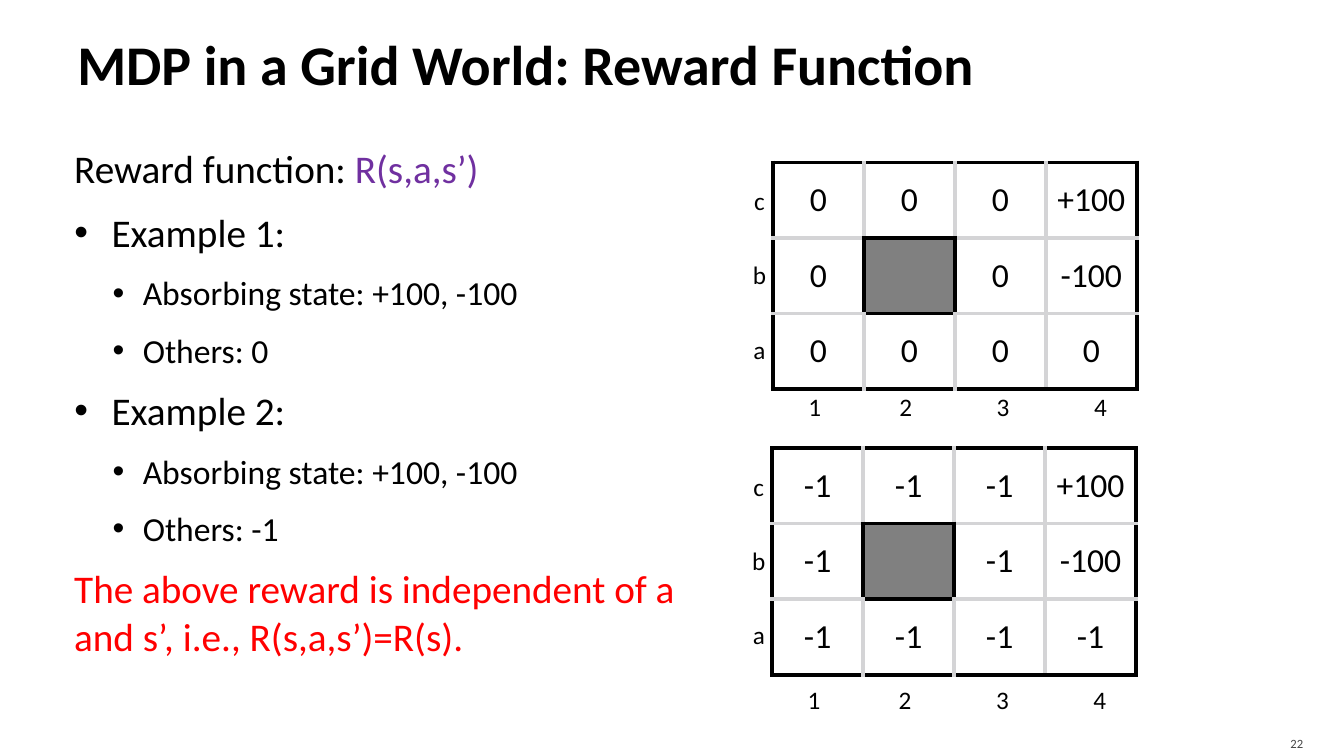
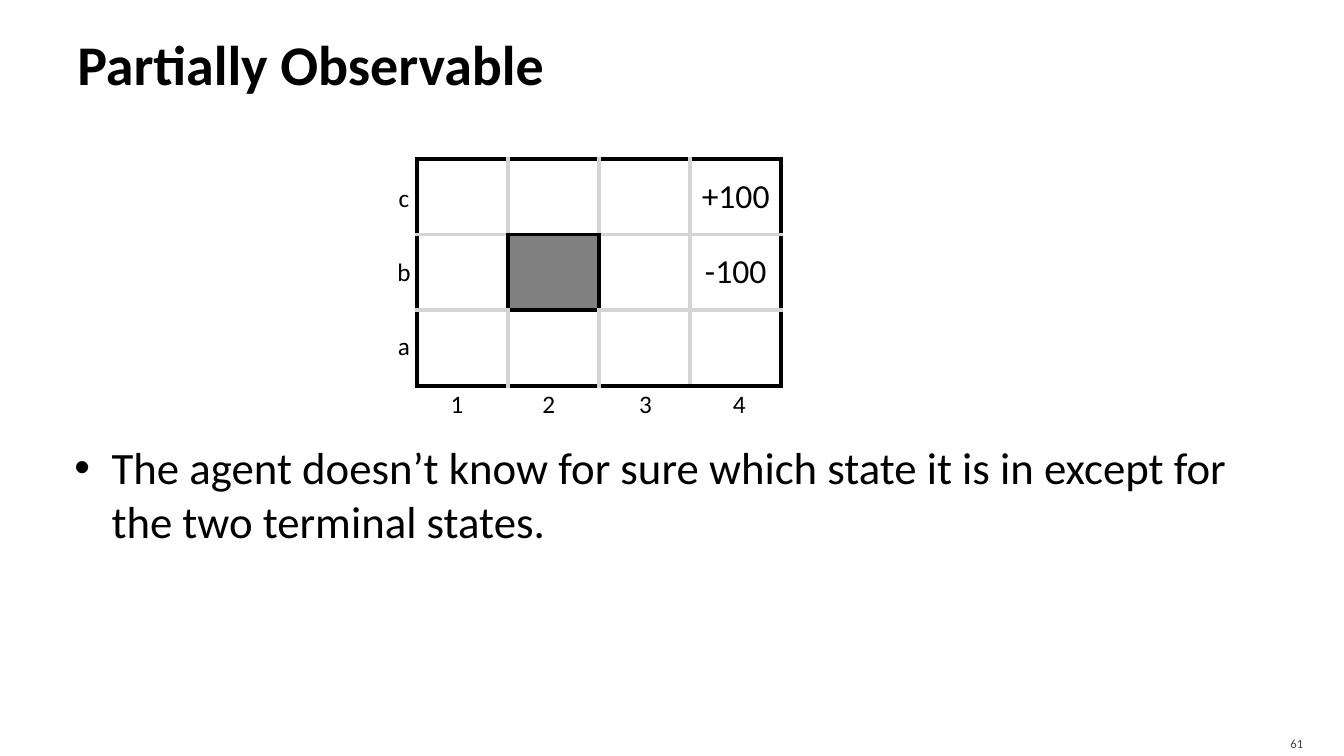
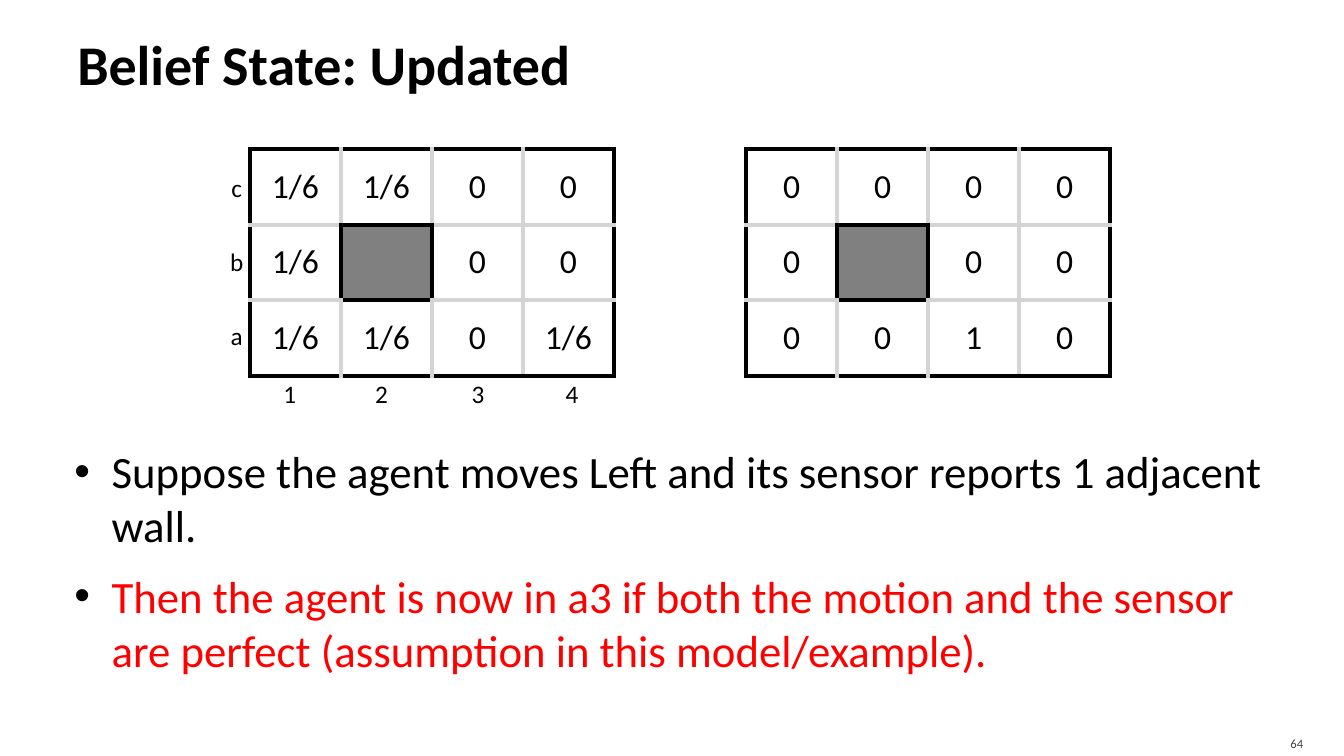
from dataclasses import dataclass

from lxml.etree import SubElement as sub
from pptx import Presentation
from pptx.dml.color import RGBColor as RGB
from pptx.enum.text import MSO_ANCHOR as Anchor, MSO_AUTO_SIZE as Fit, PP_ALIGN as Align
from pptx.oxml.ns import qn
from pptx.util import Pt


# Theme
@dataclass(frozen=True)
class Theme:
    font: str = "Calibri"
    ink: str = "000000"
    paper: str = "FFFFFF"
    red: str = "FF0000"
    purple: str = "7030A0"
    wall: str = "808080"
    rule: str = "D4D4D6"
    faint: str = "454545"
    title: int = 40
    large: int = 32
    main: int = 28
    small: int = 24
    label: int = 18
    foot: int = 9


THEME = Theme()
WALL = (1, 1)
CELL_W, CELL_H = 65, 54
LABEL_W, LABEL_H = 24, 29
ROW_X, ROW_Y, ROW_STEP = -21.5, 13, 53
WIDE = (18, 83, 152.5, 222)
SLIM = (16.5, 82, 151, 218)
INDENTS = ((0.7, 0), (27.4, -26.6), (49.7, -21.6))  # plain, bullet, sub-bullet


@dataclass(frozen=True)
class Line:
    text: str
    depth: int = 1
    color: str = THEME.ink
    tail: str = ""


@dataclass(frozen=True)
class Grid:
    left: float
    top: float
    rows: tuple[str, ...]  # "." marks an empty cell
    marks: tuple[float, ...] = ()
    drop: float = 160


@dataclass(frozen=True)
class Page:
    title: str
    number: int
    box: tuple[float, float, float, float]
    size: int
    lines: tuple[Line, ...]
    grids: tuple[Grid, ...]


# Text helpers
def style(item, size: int, color: str = THEME.ink, bold: bool = False) -> None:
    font = item.font
    font.name, font.size, font.bold = THEME.font, Pt(size), bold
    font.color.rgb = RGB.from_string(color)


def place(shape, box: tuple, insets: tuple) -> None:
    shape.left, shape.top, shape.width, shape.height = map(Pt, box)
    frame = shape.text_frame
    frame.auto_size, frame.word_wrap = Fit.NONE, True
    (frame.margin_left, frame.margin_top,
     frame.margin_right, frame.margin_bottom) = map(Pt, insets)


def set_bullet(para, depth: int) -> None:
    props = para._p.get_or_add_pPr()
    left, hang = INDENTS[depth]
    props.set("marL", str(Pt(left)))
    props.set("indent", str(Pt(hang)))
    if depth == 0:
        sub(props, qn("a:buNone"))
        return
    tint = sub(props, qn("a:buClr"))
    sub(tint, qn("a:srgbClr"), val=THEME.ink)
    sub(props, qn("a:buFont"), typeface="Arial")
    sub(props, qn("a:buChar"), char="•")


def add_label(slide, text: str, left: float, top: float) -> None:
    shape = slide.shapes.add_textbox(Pt(left), Pt(top), Pt(LABEL_W), Pt(LABEL_H))
    frame = shape.text_frame
    frame.word_wrap = False
    para = frame.paragraphs[0]
    para.text, para.alignment = text, Align.CENTER
    style(para, THEME.label)


# Slide parts
def add_title(slide, text: str) -> None:
    shape = slide.shapes.title
    place(shape, (48, 6, 864, 78), (7.2, 3.6, 3.6, 3.6))
    shape.text_frame.vertical_anchor = Anchor.MIDDLE
    para = shape.text_frame.paragraphs[0]
    para.text, para.alignment = text, Align.LEFT
    style(para, THEME.title, bold=True)


def add_body(slide, page: Page) -> None:
    shape = slide.placeholders[1]
    place(shape, page.box, (4.3, 7.2, 7.2, 3.6))
    frame = shape.text_frame
    for i, line in enumerate(page.lines):
        para = frame.add_paragraph() if i else frame.paragraphs[0]
        para.level = max(line.depth - 1, 0)
        para.space_before = para.space_after = Pt(6)
        set_bullet(para, line.depth)
        para.add_run().text = line.text
        style(para, THEME.small if line.depth == 2 else page.size, line.color)
        if line.tail:
            run = para.add_run()
            run.text = line.tail
            run.font.color.rgb = RGB.from_string(THEME.purple)


def add_number(slide, number: int) -> None:
    shape = slide.shapes.add_textbox(0, 0, 0, 0)
    place(shape, (861, 518.4, 77, 21.6), (7.2, 3.6, 7.2, 0))
    shape.text_frame.vertical_anchor = Anchor.MIDDLE
    para = shape.text_frame.paragraphs[0]
    para.text, para.alignment = str(number), Align.RIGHT
    style(para, THEME.foot, THEME.faint)


def set_edges(cell, row: int, col: int, rows: int, cols: int) -> None:
    """Dark edges run round the grid and round the wall."""
    props = cell._tc.get_or_add_tcPr()
    for tag, down, right in (("lnL", 0, -1), ("lnR", 0, 1), ("lnT", -1, 0), ("lnB", 1, 0)):
        near = (row + down, col + right)
        inside = 0 <= near[0] < rows and 0 <= near[1] < cols
        dark = not inside or WALL in (near, (row, col))
        edge = sub(props, qn(f"a:{tag}"), w=str(Pt(3)))
        fill = sub(edge, qn("a:solidFill"))
        sub(fill, qn("a:srgbClr"), val=THEME.ink if dark else THEME.rule)


def add_grid(slide, grid: Grid) -> None:
    cells = [row.split() for row in grid.rows]
    rows, cols = len(cells), len(cells[0])
    table = slide.shapes.add_table(
        rows, cols, Pt(grid.left), Pt(grid.top), Pt(cols * CELL_W), Pt(rows * CELL_H)).table
    table.first_row = table.horz_banding = False
    for r, values in enumerate(cells):
        for c, value in enumerate(values):
            cell = table.cell(r, c)
            set_edges(cell, r, c, rows, cols)
            cell.fill.solid()
            tint = THEME.wall if (r, c) == WALL else THEME.paper
            cell.fill.fore_color.rgb = RGB.from_string(tint)
            if value != ".":
                cell.vertical_anchor = Anchor.MIDDLE
                para = cell.text_frame.paragraphs[0]
                para.text, para.alignment = value, Align.CENTER
                style(para, THEME.small)
    if grid.marks:
        for i, name in enumerate("cba"):
            add_label(slide, name, grid.left + ROW_X, grid.top + ROW_Y + i * ROW_STEP)
    for i, mark in enumerate(grid.marks, 1):
        add_label(slide, str(i), grid.left + mark, grid.top + grid.drop)


# Content
GOALS = "Absorbing state: +100, -100"
PAGES = (
    Page("MDP in a Grid World: Reward Function", 22, (48, 96, 458, 420), THEME.main, (
        Line("Reward function: ", 0, tail="R(s,a,s’)"),
        Line("Example 1:"),
        Line(GOALS, 2),
        Line("Others: 0", 2),
        Line("Example 2:"),
        Line(GOALS, 2),
        Line("Others: -1", 2),
        Line("The above reward is independent of a and s’, i.e., R(s,a,s’)=R(s).", 0, THEME.red),
    ), (
        Grid(552, 116, ("0 0 0 +100", "0 . 0 -100", "0 0 0 0"), WIDE),
        Grid(551.5, 320, ("-1 -1 -1 +100", "-1 . -1 -100", "-1 -1 -1 -1"), WIDE, 165.5),
    )),
    Page("Partially Observable", 61, (48, 307, 864, 209), THEME.large, (
        Line("The agent doesn’t know for sure which state it is in "
             "except for the two terminal states."),
    ), (
        Grid(298, 113.5, (". . . +100", ". . . -100", ". . . ."), SLIM),
    )),
    Page("Belief State: Updated", 64, (48, 310, 864, 206), THEME.large, (
        Line("Suppose the agent moves Left and its sensor reports 1 adjacent wall."),
        Line("Then the agent is now in a3 if both the motion and the sensor are perfect "
             "(assumption in this model/example).", color=THEME.red),
    ), (
        Grid(178.5, 106.5, ("1/6 1/6 0 0", "1/6 . 0 0", "1/6 1/6 0 1/6"), SLIM),
        Grid(533, 106.5, ("0 0 0 0", "0 . 0 0", "0 0 1 0")),
    )),
)


def main() -> None:
    deck = Presentation()
    deck.slide_width, deck.slide_height = Pt(960), Pt(540)
    for page in PAGES:
        slide = deck.slides.add_slide(deck.slide_layouts[1])
        add_title(slide, page.title)
        add_body(slide, page)
        add_number(slide, page.number)
        for grid in page.grids:
            add_grid(slide, grid)
    deck.save("out.pptx")


if __name__ == "__main__":
    main()
